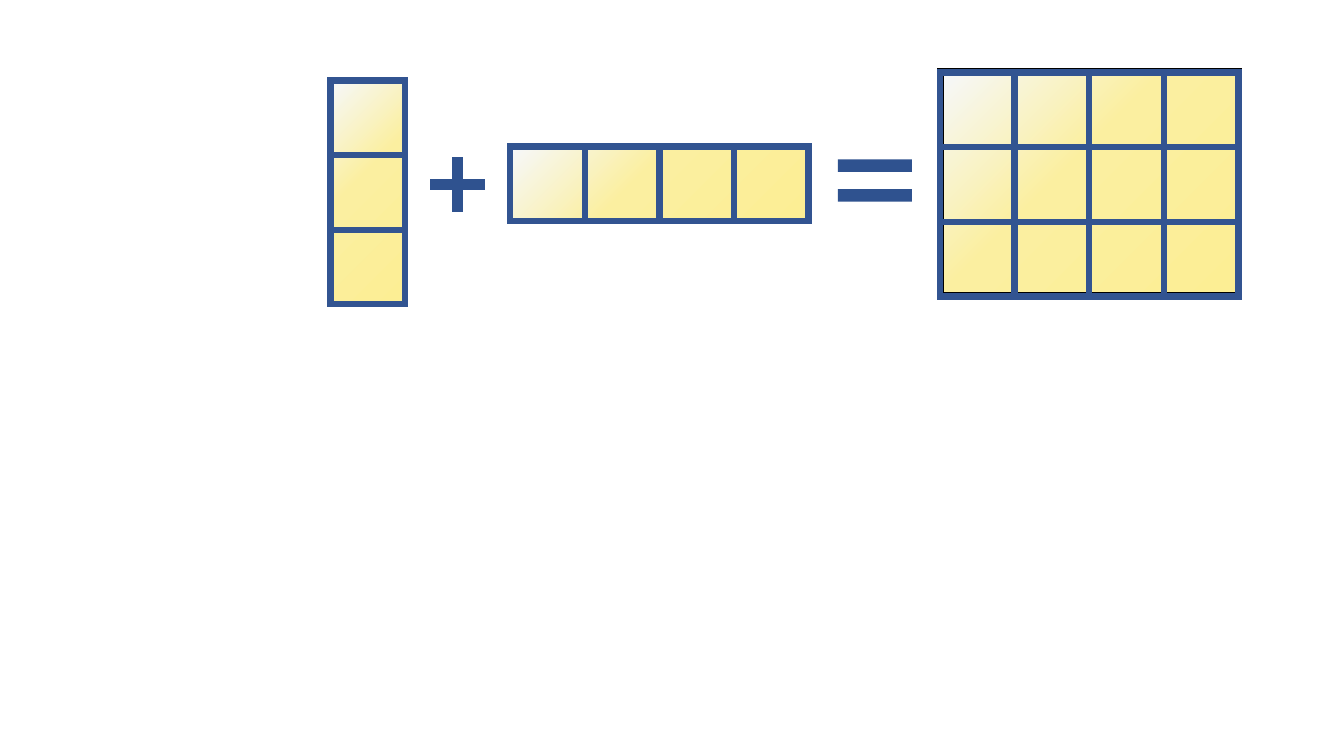
from copy import deepcopy

from lxml.etree import SubElement
from pptx import Presentation
from pptx.dml.color import RGBColor
from pptx.enum.shapes import MSO_SHAPE as Shape
from pptx.oxml.ns import qn
from pptx.util import Cm, Pt

CELL = 1.88


def color(value):
    return RGBColor.from_string(value)


class BroadcastDiagram:
    GRID_COLOR = "325491"
    OPERATOR_COLOR = "2F528F"
    BACKING_LINE = "000000"
    GRADIENT = [(0, "F6F8FC"), (0.43, "FBEFA0"), (1, "FCEE94")]
    LINE_WIDTH = Pt(4.5)

    def __init__(self, slide):
        self.slide = slide

    def add_shape(self, kind, left, top, width, height):
        shape = self.slide.shapes.add_shape(
            kind, Cm(left), Cm(top), Cm(width), Cm(height))
        shape.shadow.inherit = False
        return shape

    def outline(self, shape, line_color):
        """Draw a thick line with sharp corners."""
        shape.line.width = self.LINE_WIDTH
        shape.line.color.rgb = color(line_color)
        line = shape.line._get_or_add_ln()
        SubElement(line, qn("a:miter"), lim="800000")

    def fill_gradient(self, shape):
        shape.fill.gradient()
        shape.fill.gradient_angle = 315
        first_stop = shape.fill.gradient_stops[0]._gs
        first_stop.addnext(deepcopy(first_stop))
        for stop, (position, value) in zip(shape.fill.gradient_stops, self.GRADIENT):
            stop.position = position
            stop.color.rgb = color(value)

    def add_array(self, left, top, rows, columns, shift_x=0, shift_y=0):
        """Lay a grid of open cells, moved by the shift, over a gradient backing."""
        backing = self.add_shape(
            Shape.RECTANGLE, left, top, columns * CELL, rows * CELL)
        self.fill_gradient(backing)
        self.outline(backing, self.BACKING_LINE)
        for row in range(rows):
            for column in range(columns):
                cell = self.add_shape(
                    Shape.RECTANGLE, left + shift_x + column * CELL,
                    top + shift_y + row * CELL, CELL, CELL)
                cell.fill.background()
                self.outline(cell, self.GRID_COLOR)

    def add_operator(self, kind, left, top, size, adjustments):
        operator = self.add_shape(kind, left, top, size, size)
        for index, value in enumerate(adjustments):
            operator.adjustments[index] = value
        operator.fill.solid()
        operator.fill.fore_color.rgb = color(self.OPERATOR_COLOR)
        operator.line.fill.background()


def main():
    presentation = Presentation()
    presentation.slide_width = Cm(33.87)
    presentation.slide_height = Cm(19.05)
    slide = presentation.slides.add_slide(presentation.slide_layouts[6])

    diagram = BroadcastDiagram(slide)
    diagram.add_array(12.86, 3.69, rows=1, columns=4)
    diagram.add_array(23.7, 1.8, rows=3, columns=4, shift_x=-0.01, shift_y=0.03)
    diagram.add_operator(Shape.MATH_PLUS, 10.59, 3.71, CELL, [0.143])
    diagram.add_operator(Shape.MATH_EQUAL, 20.78, 3.28, 2.54, [0.124, 0.173])
    diagram.add_array(8.33, 2.02, rows=3, columns=1, shift_y=0.01)

    presentation.save("out.pptx")


if __name__ == "__main__":
    main()
